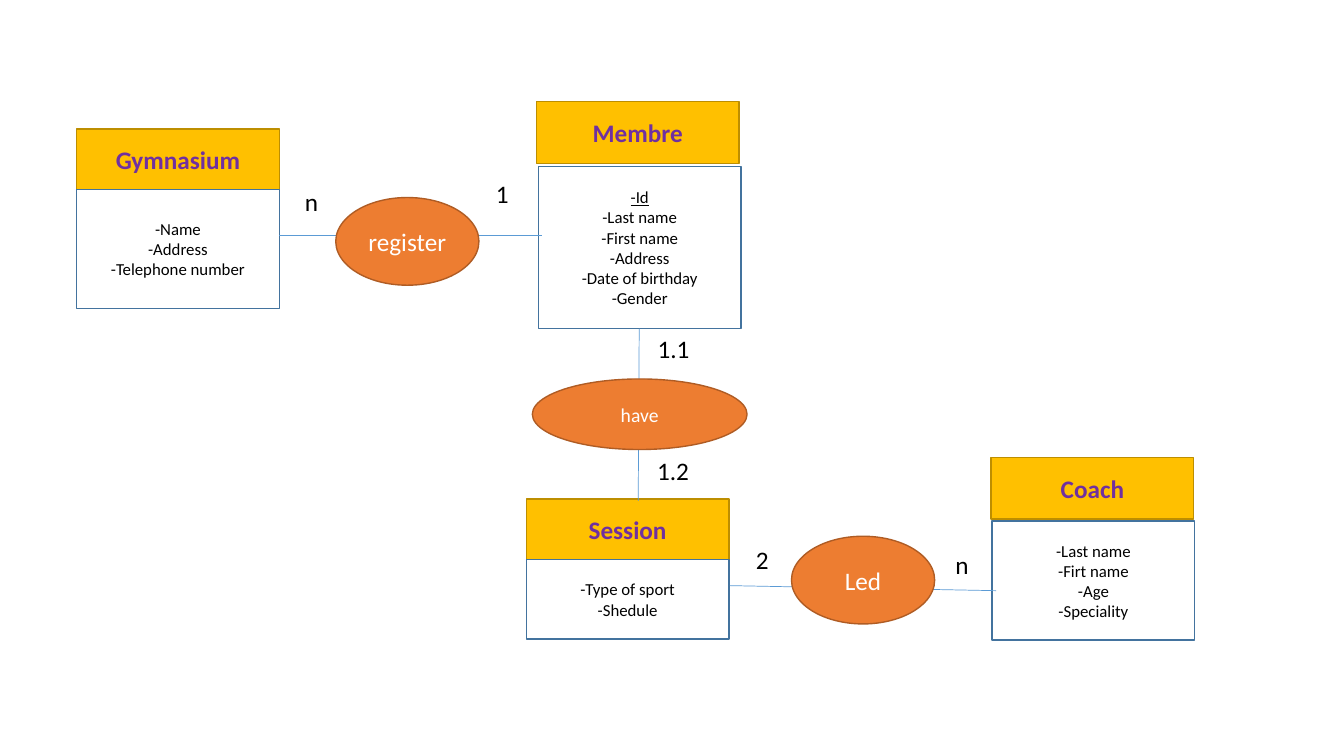
import pptx
import pptx.util
import pptx.dml.color
import pptx.enum.shapes
import pptx.enum.text
from lxml import etree
from pptx.util import Inches, Pt

COLORS = {
    "header": "FFC000", "header_line": "BD8E00", "entity_name": "7030A0",
    "body": "FFFFFF", "body_line": "43739E",
    "relation": "ED7D31", "relation_line": "AF5C24", "relation_name": "FFFFFF",
    "link": "5B9BD5", "text": "000000",
}
FONT = "Calibri"
ENTITY_WIDTH = 2.01
HEADER_HEIGHT = 0.61

# name, header left and top, body left, top and height, attributes, key attribute
ENTITIES = [
    ("Membre", (5.32, 1.01), (5.34, 1.65, 1.61),
     ["-Id", "-Last name", "-First name", "-Address", "-Date of birthday", "-Gender"], "-Id"),
    ("Session", (5.22, 4.95), (5.22, 5.55, 0.79), ["-Type of sport", "-Shedule"], None),
    ("Gymnasium", (0.76, 1.28), (0.76, 1.88, 1.18),
     ["-Name", "-Address", "-Telephone number"], None),
    ("Coach", (9.83, 4.54), (9.84, 5.17, 1.18),
     ["-Last name", "-Firt name", "-Age", "-Speciality"], None),
]
LINKS = [(2.77, 2.34, 5.38, 2.34), (6.33, 4.97, 6.34, 3.26), (7.24, 5.81, 9.88, 5.86)]
RELATIONS = [
    ("register", (3.33, 1.96, 1.42, 0.87), 18),
    ("have", (5.28, 3.76, 2.13, 0.7), 14),
    ("Led", (7.85, 5.32, 1.42, 0.87), 18),
]
CARDINALITIES = [
    ("n", 2.75, 1.8, 0.68), ("1", 4.64, 1.72, 0.68),
    ("1.1", 6.34, 3.26, 0.68), ("1.2", 6.23, 4.47, 0.89),
    ("2", 7.22, 5.35, 0.68), ("n", 9.2, 5.4, 0.68),
]


def rgb(name):
    return pptx.dml.color.RGBColor.from_string(COLORS[name])


def write_centered(frame, lines, size, color, bold=False, underlined=None):
    frame.word_wrap = True
    frame.text = "\n".join(lines)
    for paragraph in frame.paragraphs:
        paragraph.alignment = pptx.enum.text.PP_ALIGN.CENTER
        for run in paragraph.runs:
            run.font.name = FONT
            run.font.size = Pt(size)
            run.font.bold = bold
            run.font.underline = run.text == underlined
            run.font.color.rgb = rgb(color)


def add_box(slide, kind, place, fill):
    """Add an outlined shape whose line colour is paired with its fill."""
    box = slide.shapes.add_shape(kind, *map(Inches, place))
    box.shadow.inherit = False
    box.fill.solid()
    box.fill.fore_color.rgb = rgb(fill)
    box.line.color.rgb = rgb(fill + "_line")
    box.line.width = Pt(1)
    box.text_frame.vertical_anchor = pptx.enum.text.MSO_ANCHOR.MIDDLE
    return box


def add_entity(slide, name, header_at, body_at, attributes, key):
    rectangle = pptx.enum.shapes.MSO_SHAPE.RECTANGLE
    left, top, height = body_at
    header = add_box(slide, rectangle, (*header_at, ENTITY_WIDTH, HEADER_HEIGHT), "header")
    write_centered(header.text_frame, [name], 18, "entity_name", bold=True)
    body = add_box(slide, rectangle, (left, top, ENTITY_WIDTH, height), "body")
    write_centered(body.text_frame, attributes, 12, "text", underlined=key)


def add_link(slide, ends):
    link = slide.shapes.add_connector(
        pptx.enum.shapes.MSO_CONNECTOR.STRAIGHT, *map(Inches, ends))
    link.line.color.rgb = rgb("link")
    link.line.width = Pt(0.5)
    etree.SubElement(link._element.spPr, pptx.oxml.ns.qn("a:effectLst"))


def add_relation(slide, name, place, size):
    relation = add_box(slide, pptx.enum.shapes.MSO_SHAPE.OVAL, place, "relation")
    write_centered(relation.text_frame, [name], size, "relation_name")


def add_cardinality(slide, label, left, top, width):
    cardinality = slide.shapes.add_textbox(*map(Inches, (left, top, width, 0.51)))
    write_centered(cardinality.text_frame, [label], 18, "text")


def main():
    deck = pptx.Presentation()
    deck.slide_width, deck.slide_height = Inches(13.33), Inches(7.5)
    slide = deck.slides.add_slide(deck.slide_layouts[6])
    for entity in ENTITIES:
        add_entity(slide, *entity)
    for ends in LINKS:
        add_link(slide, ends)
    for relation in RELATIONS:
        add_relation(slide, *relation)
    for cardinality in CARDINALITIES:
        add_cardinality(slide, *cardinality)
    deck.save("out.pptx")


if __name__ == "__main__":
    main()
